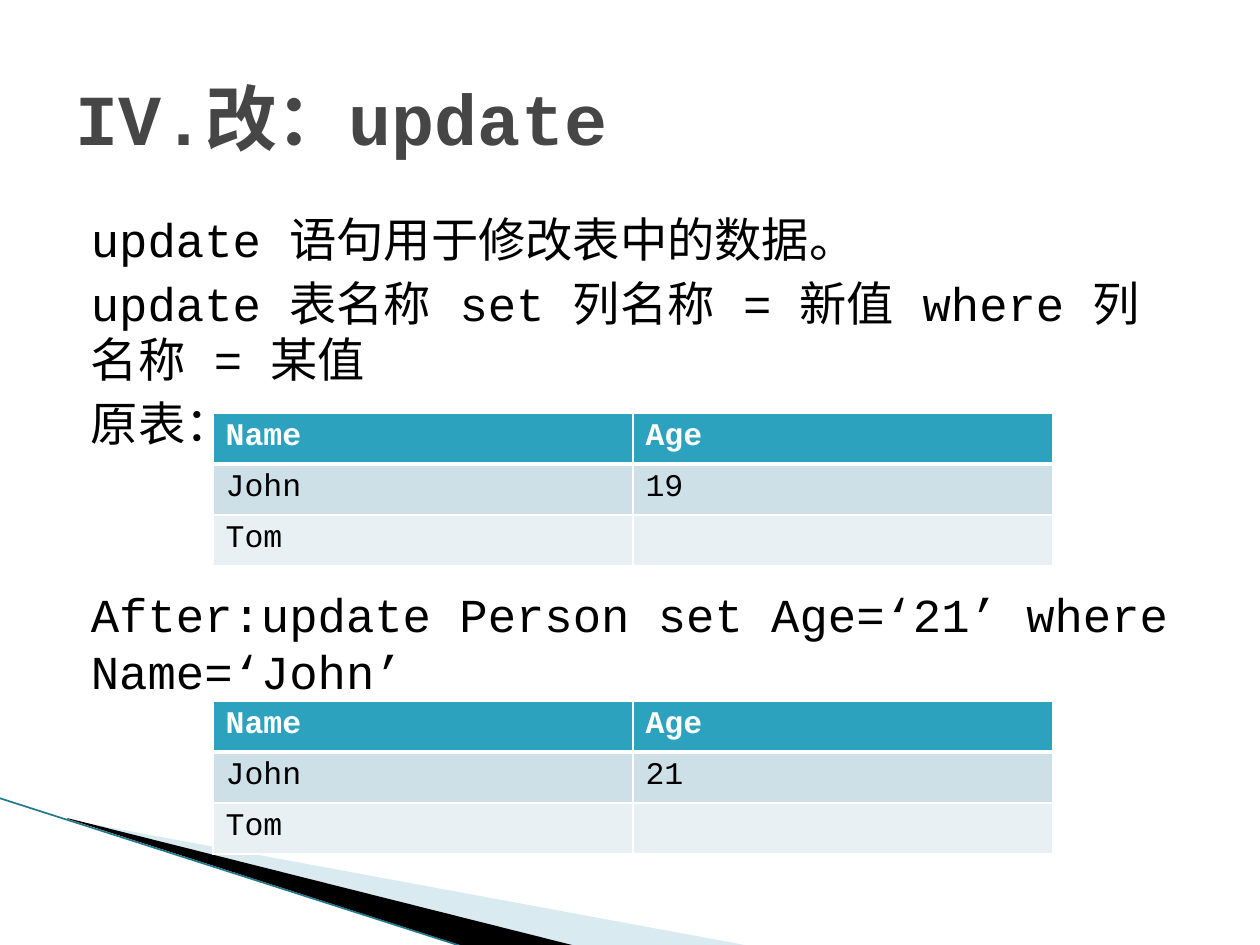
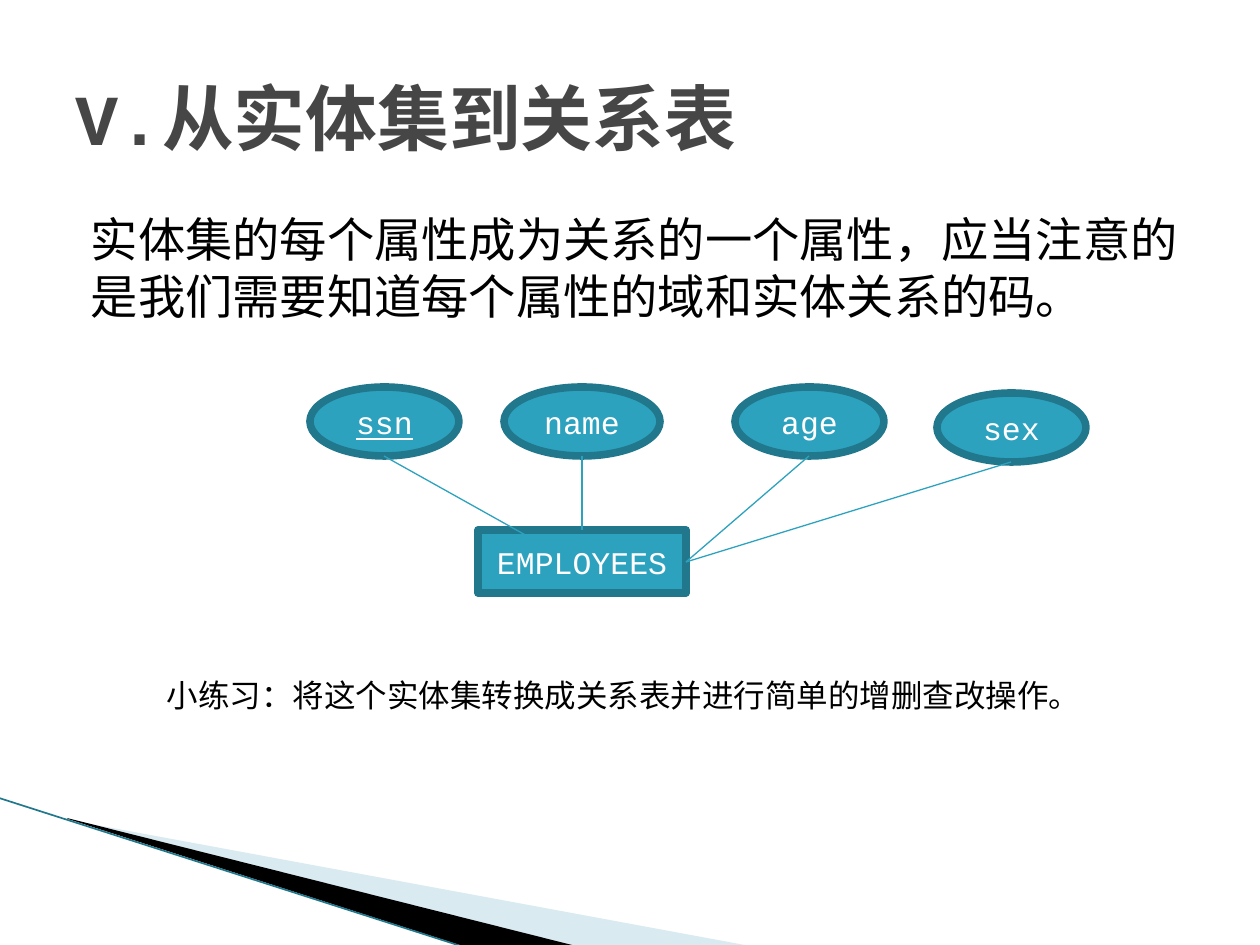
import pptx
import pptx.util
import pptx.dml.color
import pptx.enum.shapes
import pptx.enum.text
import pptx.oxml
import pptx.oxml.ns
from lxml import etree

PX = 914400 / 126
FONT = "Courier New"
HUES = {
    "white": "FFFFFF",
    "black": "000000",
    "title": "464646",
    "teal": "2DA2BF",
    "edge": "21788D",
    "pale": "A0CBDC",
    "odd": "CDE0E8",
    "even": "E8F0F4",
}
KINDS = pptx.enum.shapes.MSO_SHAPE
ALIGN = pptx.enum.text.PP_ALIGN
MIDDLE = pptx.enum.text.MSO_ANCHOR.MIDDLE


def px(*vals):
    return [pptx.util.Emu(round(v * PX)) for v in vals]


def rgb(hue):
    return pptx.dml.color.RGBColor.from_string(HUES[hue])


def sub(node, tag, **attrs):
    return etree.SubElement(node, pptx.oxml.ns.qn(tag), **attrs)


def paint(shape, hue):
    shape.fill.solid()
    shape.fill.fore_color.rgb = rgb(hue)


def style(para, size, hue, bold=False, under=False):
    for run in para.runs:
        font = run.font
        font.size = pptx.util.Pt(size)
        font.bold = bold
        font.underline = under
        font.color.rgb = rgb(hue)
        font.name = FONT
        sub(run._r.get_or_add_rPr(), "a:ea", typeface=FONT)


# Text
def add_text(slide, box, lines, size, hue="black", bold=False,
             inset=13, gap=0, wrap=True, anchor=None):
    frame = slide.shapes.add_textbox(*px(*box)).text_frame
    frame.word_wrap = wrap
    frame.vertical_anchor = anchor
    frame.margin_left, = px(inset)
    frame.text = "\n".join(lines)
    for para in frame.paragraphs:
        para.space_before = pptx.util.Pt(gap)
        style(para, size, hue, bold)


def add_body(slide, top, height, lines):
    add_text(slide, (63, top, 1134, height), lines, 27, inset=28, gap=4)


# Lines and outlines
def add_line(slide, start, end, hue, width):
    kind = pptx.enum.shapes.MSO_CONNECTOR.STRAIGHT
    line = slide.shapes.add_connector(kind, *px(*start, *end))
    line.line.color.rgb = rgb(hue)
    line.line.width = pptx.util.Pt(width)
    sub(line._element.spPr, "a:effectLst")


def add_wedge(slide, points, hue, alpha=None):
    pen = slide.shapes.build_freeform(*points[0], scale=PX)
    pen.add_line_segments(points[1:], close=True)
    wedge = pen.convert_to_shape()
    wedge.shadow.inherit = False
    paint(wedge, hue)
    wedge.line.fill.background()
    if alpha:
        tone = wedge._element.spPr.find(".//" + pptx.oxml.ns.qn("a:srgbClr"))
        sub(tone, "a:alpha", val=str(alpha * 1000))


# Shared page: corner wedges and title
def add_page(deck, title):
    slide = deck.slides.add_slide(deck.slide_layouts[6])
    add_wedge(slide, [(69, 820), (750, 946), (575, 946), (69, 819)], "pale", 40)
    add_wedge(slide, [(67, 818), (576, 946), (469, 948), (68, 819)], "black")
    add_line(slide, (-1, 798), (467, 948), "edge", 0.95)
    add_text(slide, (63, 38, 1134, 157), [title], 41, "title", True,
             anchor=MIDDLE)
    return slide


# Tables
def add_edges(cell, head):
    props = cell._tc.get_or_add_tcPr()
    for spot, side in enumerate("LRTB"):
        width = 3 if head and side == "B" else 1
        edge = pptx.oxml.parse_xml(
            f'<a:ln{side} {pptx.oxml.ns.nsdecls("a")} w="{width * 12700}">'
            f'<a:solidFill><a:srgbClr val="{HUES["white"]}"/></a:solidFill>'
            f'</a:ln{side}>')
        props.insert(spot, edge)


def add_grid(slide, top, rows):
    size = len(rows), len(rows[0])
    grid = slide.shapes.add_table(*size, *px(213, top, 840, 51 * len(rows))).table
    for r, row in enumerate(rows):
        head = r == 0
        fill = "teal" if head else "odd" if r % 2 else "even"
        for c, text in enumerate(row):
            cell = grid.cell(r, c)
            cell.text_frame.text = text
            style(cell.text_frame.paragraphs[0], 18,
                  "white" if head else "black", head)
            paint(cell, fill)
            add_edges(cell, head)


# Diagram nodes
def add_node(slide, kind, box, text, under=False):
    node = slide.shapes.add_shape(kind, *px(*box))
    node.shadow.inherit = False
    paint(node, "teal")
    node.line.color.rgb = rgb("edge")
    node.line.width = pptx.util.Pt(4.33)
    frame = node.text_frame
    frame.word_wrap = False
    frame.vertical_anchor = MIDDLE
    frame.text = text
    para = frame.paragraphs[0]
    para.alignment = ALIGN.CENTER
    style(para, 18, "white", under=under)


def add_update(deck):
    slide = add_page(deck, "IV.改：update")
    add_body(slide, 204, 260, [
        "update 语句用于修改表中的数据。",
        "update 表名称 set 列名称 = 新值 where 列名称 = 某值",
        "原表：",
    ])
    add_body(slide, 579, 130,
             ["After:update Person set Age=‘21’ where Name=‘John’"])
    for top, age in ((413, "19"), (701, "21")):
        add_grid(slide, top, [("Name", "Age"), ("John", age), ("Tom", "")])


def add_entity(deck):
    slide = add_page(deck, "V.从实体集到关系表")
    add_body(slide, 204, 624, [
        "实体集的每个属性成为关系的一个属性，"
        "应当注意的是我们需要知道每个属性的域和实体关系的码。",
    ])
    add_node(slide, KINDS.RECTANGLE, (478, 530, 208, 63), "EMPLOYEES")
    # Each field: name, left, top, width, point where its line meets the entity
    fields = [
        ("ssn", 310, 387, 149, (529, 537)),
        ("name", 504, 387, 156, (582, 530)),
        ("age", 735, 387, 149, (686, 562)),
        ("sex", 937, 393, 149, (686, 562)),
    ]
    for name, left, top, width, joint in fields:
        add_node(slide, KINDS.OVAL, (left, top, width, 69), name, name == "ssn")
        add_line(slide, joint, (left + width // 2, top + 69), "teal", 0.75)
    add_text(slide, (154, 670, 948, 50),
             ["小练习：将这个实体集转换成关系表并进行简单的增删查改操作。"],
             18, wrap=False)


def main():
    deck = pptx.Presentation()
    deck.slide_width, deck.slide_height = px(1260, 945)
    add_update(deck)
    add_entity(deck)
    deck.save("out.pptx")


if __name__ == "__main__":
    main()
